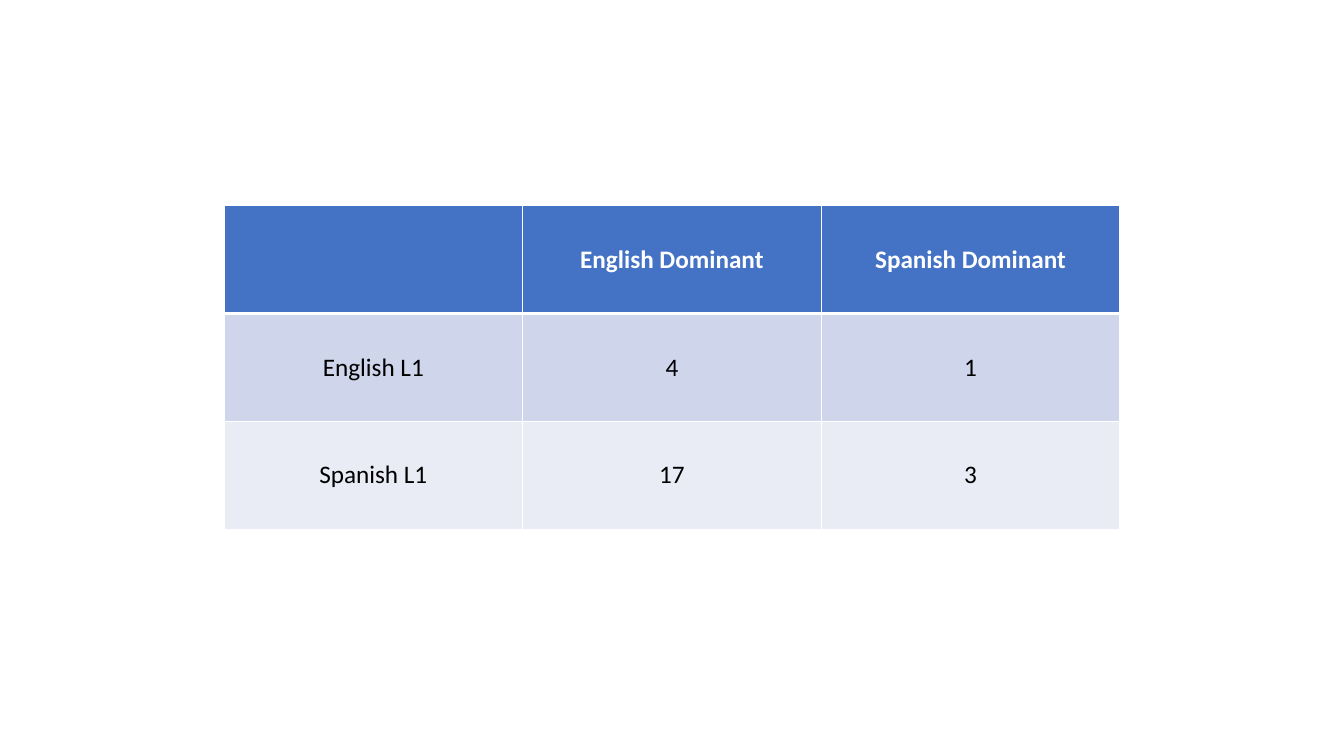
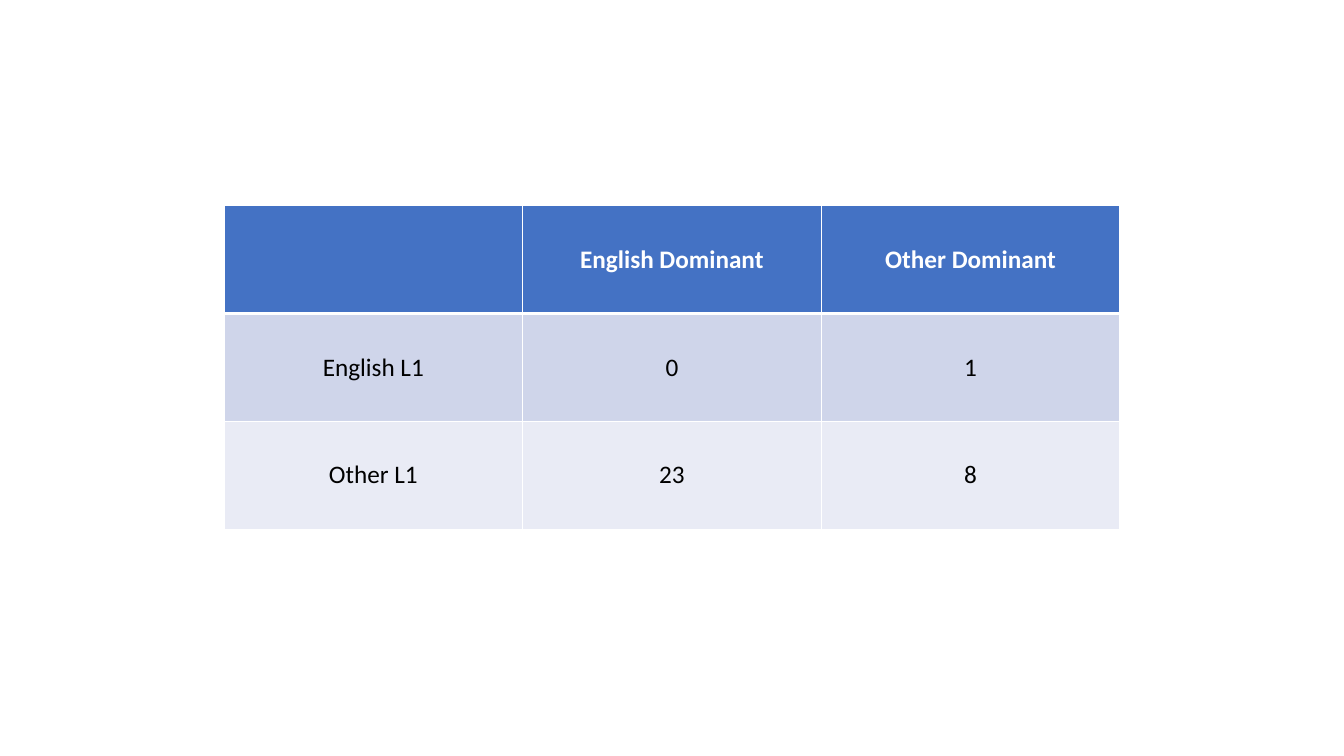
from lxml import etree
from pptx import Presentation
from pptx.dml.color import RGBColor
from pptx.enum import text
from pptx.oxml import ns
from pptx.util import Pt

# Content: one table per slide
TABLES = [
    [("", "English Dominant", "Spanish Dominant"),
     ("English L1", "4", "1"),
     ("Spanish L1", "17", "3")],
    [("", "English Dominant", "Other Dominant"),
     ("English L1", "0", "1"),
     ("Other L1", "23", "8")],
]

# Shared style
WIDE, HIGH = 960, 540
COL, ROW, TOP = 213.33, 77, 147
WHITE, BLACK = "FFFFFF", "000000"
FILLS = ["4472C4", "CFD5EA", "E9EBF5"]
THIN, THICK = 1, 3


def color(code):
    return RGBColor.from_string(code)


def border(cell, side, width):
    props = cell._tc.get_or_add_tcPr()
    line = etree.SubElement(props, ns.qn("a:ln" + side), w=str(Pt(width)))
    fill = etree.SubElement(line, ns.qn("a:solidFill"))
    etree.SubElement(fill, ns.qn("a:srgbClr"), val=WHITE)


def style(cell, words, row):
    head = row == 0
    # Borders, with a thick rule under the header
    widths = {"L": THIN, "R": THIN,
              "T": THICK if row == 1 else THIN,
              "B": THICK if head else THIN}
    for side, width in widths.items():
        border(cell, side, width)
    cell.fill.solid()
    cell.fill.fore_color.rgb = color(FILLS[row])
    # Text
    cell.vertical_anchor = text.MSO_ANCHOR.MIDDLE
    cell.text = words
    para = cell.text_frame.paragraphs[0]
    para.alignment = text.PP_ALIGN.CENTER
    font = para.font
    font.name, font.size, font.bold = "Calibri", Pt(18), head
    font.color.rgb = color(WHITE if head else BLACK)


def add_grid(slide, data):
    rows, cols = len(data), len(data[0])
    left = (WIDE - cols * COL) / 2
    table = slide.shapes.add_table(
        rows, cols, Pt(left), Pt(TOP), Pt(cols * COL), Pt(rows * ROW)).table
    table.horz_banding = False
    for col in table.columns:
        col.width = Pt(COL)
    for r, line in enumerate(data):
        table.rows[r].height = Pt(ROW)
        for c, words in enumerate(line):
            style(table.cell(r, c), words, r)


def main():
    deck = Presentation()
    deck.slide_width, deck.slide_height = Pt(WIDE), Pt(HIGH)
    for data in TABLES:
        add_grid(deck.slides.add_slide(deck.slide_layouts[6]), data)
    deck.save("out.pptx")


if __name__ == "__main__":
    main()
